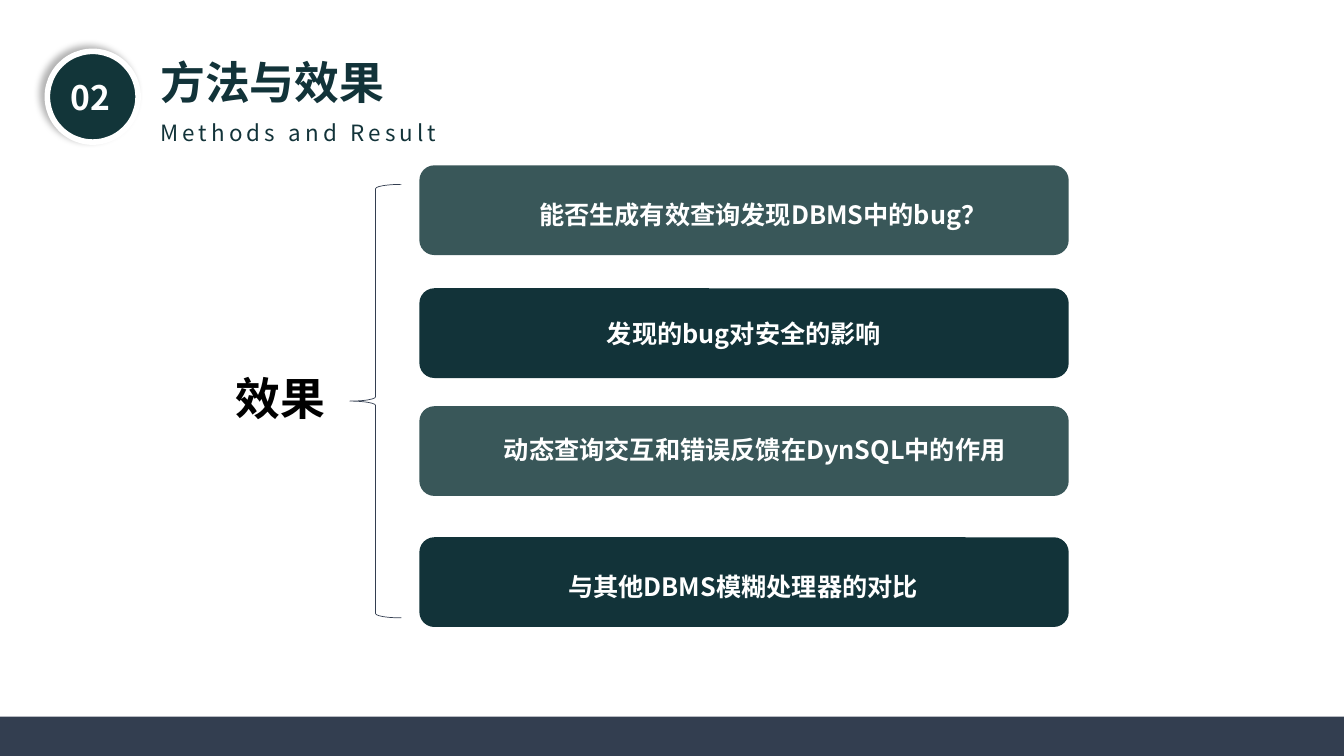
from lxml import etree
from pptx import Presentation
from pptx.dml.color import RGBColor
from pptx.enum.shapes import MSO_SHAPE
from pptx.enum.text import MSO_ANCHOR, PP_ALIGN
from pptx.oxml.ns import qn
from pptx.util import Inches, Pt

ELLIPSE = MSO_SHAPE.OVAL
RECTANGLE = MSO_SHAPE.RECTANGLE
ROUNDED = MSO_SHAPE.ROUNDED_RECTANGLE
BRACE = MSO_SHAPE.LEFT_BRACE
LEFT, CENTER = PP_ALIGN.LEFT, PP_ALIGN.CENTER
TOP, MIDDLE = MSO_ANCHOR.TOP, MSO_ANCHOR.MIDDLE

FONT = "Noto Sans CJK SC"
DARK, SLATE, NAVY = "123339", "395759", "333E50"
BADGE, WHITE, BLACK = "123539", "FFFFFF", "000000"


def color(value):
    return RGBColor.from_string(value)


class SlideBuilder:
    def __init__(self, presentation):
        self.slide = presentation.slides.add_slide(presentation.slide_layouts[5])

    def place(self, shape, box):
        shape.left, shape.top, shape.width, shape.height = map(Inches, box)

    def label(self, shape, text, size, text_color, bold=True, align=LEFT,
              anchor=TOP, line_spacing=1.0, tracking=0):
        frame = shape.text_frame
        frame.word_wrap = True
        frame.vertical_anchor = anchor
        paragraph = frame.paragraphs[0]
        paragraph.text = text
        paragraph.alignment = align
        paragraph.line_spacing = line_spacing
        paragraph.space_before = Pt(0)
        font = paragraph.font
        font.name = FONT
        font.size = Pt(size)
        font.bold = bold
        font.color.rgb = color(text_color)
        properties = paragraph._p.pPr.find(qn("a:defRPr"))
        etree.SubElement(properties, qn("a:ea"), typeface=FONT)
        if tracking:
            properties.set("spc", str(tracking * 100))

    def title(self, box, text, size, text_color):
        shape = self.slide.shapes.title
        self.place(shape, box)
        self.label(shape, text, size, text_color)

    def text(self, box, text, size, text_color, **style):
        shape = self.slide.shapes.add_textbox(*map(Inches, box))
        self.label(shape, text, size, text_color, **style)

    def shape(self, kind, box, fill=None, line=None, line_width=1):
        shape = self.slide.shapes.add_shape(kind, *map(Inches, box))
        shape.shadow.inherit = False
        if fill:
            shape.fill.solid()
            shape.fill.fore_color.rgb = color(fill)
        else:
            shape.fill.background()
        if line:
            shape.line.color.rgb = color(line)
            shape.line.width = Pt(line_width)
        else:
            shape.line.fill.background()
        return shape

    def cast_shadow(self, shape, shadow_color, opacity, blur, distance, angle):
        effects = shape._element.spPr.find(qn("a:effectLst"))
        shadow = etree.SubElement(
            effects, qn("a:outerShdw"), blurRad=str(Pt(blur)),
            dist=str(Pt(distance)), dir=str(angle * 60000),
            algn="ctr", rotWithShape="0")
        tint = etree.SubElement(shadow, qn("a:srgbClr"), val=shadow_color)
        etree.SubElement(tint, qn("a:alpha"), val=str(opacity * 1000))


def main():
    presentation = Presentation()
    presentation.slide_width = Inches(13.33)
    presentation.slide_height = Inches(7.5)
    builder = SlideBuilder(presentation)

    badge = builder.shape(ELLIPSE, (0.47, 0.51, 0.9, 0.9), BADGE, WHITE, 4)
    builder.cast_shadow(badge, BLACK, 30, 5.1, 4, 215)
    builder.label(badge, "02", 24, WHITE, anchor=MIDDLE)
    builder.title((1.49, 0.49, 3.39, 0.64), "方法与效果", 32, DARK)
    builder.shape(RECTANGLE, (0, 7.11, 13.33, 0.39), NAVY)
    builder.text((1.49, 1.13, 4.32, 0.37), "Methods and Result", 16, DARK,
                 bold=False, tracking=3)

    questions = [
        (1.64, SLATE, "能否生成有效查询发现DBMS中的bug？", (4.31, 1.78, 6.51, 0.5), 1.5),
        (2.86, DARK, "发现的bug对安全的影响", None, 1.0),
        (4.03, SLATE, "动态查询交互和错误反馈在DynSQL中的作用", (4.15, 4.26, 6.67, 0.4), 1.0),
        (5.33, DARK, "与其他DBMS模糊处理器的对比", (4.33, 5.47, 6.08, 0.5), 1.5),
    ]
    for top, fill, question, text_box, spacing in questions:
        bar = builder.shape(ROUNDED, (4.16, top, 6.44, 0.89), fill)
        if text_box:
            builder.text(text_box, question, 18, WHITE, align=CENTER,
                         line_spacing=spacing)
        else:
            builder.label(bar, question, 18, WHITE, align=CENTER, anchor=MIDDLE)

    builder.shape(BRACE, (3.47, 1.83, 0.51, 4.3), line=NAVY, line_width=0.5)
    builder.text((2.24, 3.63, 1.9, 0.64), "效果", 32, BLACK)

    presentation.save("out.pptx")


if __name__ == "__main__":
    main()
